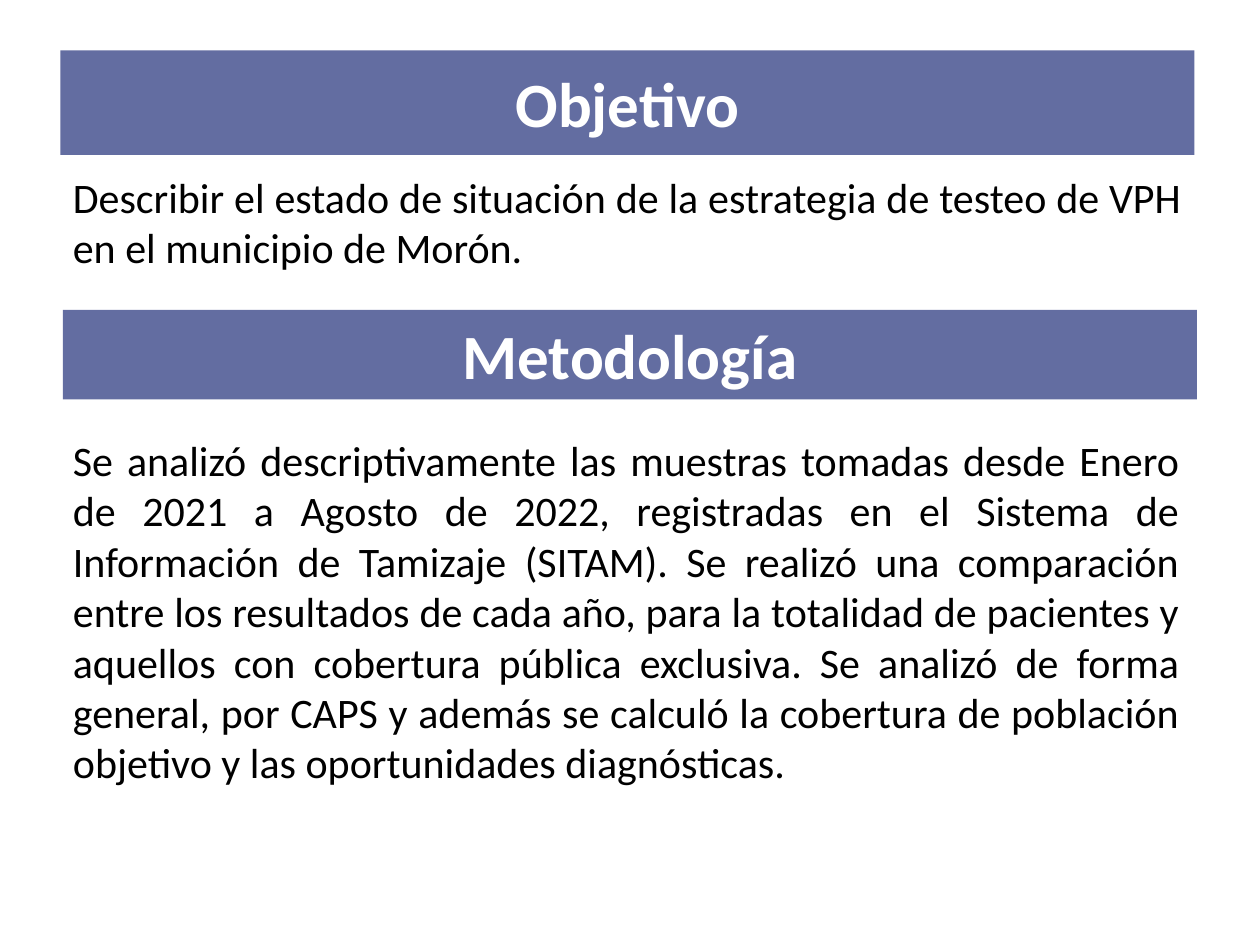
import pptx
import pptx.util
import pptx.dml.color
import pptx.enum.text
import pptx.enum.shapes

Inches = pptx.util.Inches
enum = pptx.enum.text
align = enum.PP_ALIGN
anchor = enum.MSO_ANCHOR

HEAD = {"size": 36, "bold": True, "color": "FFFFFF", "fill": "636DA1",
        "align": align.CENTER, "anchor": anchor.MIDDLE}
BODY = {"size": 24, "bold": False, "color": "000000", "fill": None,
        "align": align.JUSTIFY, "anchor": anchor.TOP}

PARTS = [
    ("title", "Objetivo", (0.48, 0.4, 9, 0.83), HEAD),
    ("text", "Describir el estado de situación de la estrategia de testeo de VPH "
     "en el municipio de Morón.", (0.48, 1.31, 9, 0.91), BODY),
    ("bar", "Metodología", (0.5, 2.46, 9, 0.71), HEAD),
    ("text", "Se analizó descriptivamente las muestras tomadas desde Enero de 2021 "
     "a Agosto de 2022, registradas en el Sistema de Información de Tamizaje "
     "(SITAM). Se realizó una comparación entre los resultados de cada año, para "
     "la totalidad de pacientes y aquellos con cobertura pública exclusiva. Se "
     "analizó de forma general, por CAPS y además se calculó la cobertura de "
     "población objetivo y las oportunidades diagnósticas.",
     (0.48, 3.4, 8.98, 2.93), BODY),
]


def paint(target, color):
    target.rgb = pptx.dml.color.RGBColor.from_string(color)


def place(slide, kind, box):
    area = [Inches(n) for n in box]
    if kind == "text":
        return slide.shapes.add_textbox(*area)
    if kind == "bar":
        shape = slide.shapes.add_shape(pptx.enum.shapes.MSO_SHAPE.RECTANGLE, *area)
        shape.shadow.inherit = False
        shape.line.fill.background()
        return shape
    shape = slide.shapes.title
    for name, size in zip(("left", "top", "width", "height"), area):
        setattr(shape, name, size)
    return shape


def write(shape, text, style):
    if style["fill"]:
        shape.fill.solid()
        paint(shape.fill.fore_color, style["fill"])
    frame = shape.text_frame
    frame.text = text
    layout = {"word_wrap": True, "auto_size": enum.MSO_AUTO_SIZE.NONE,
              "vertical_anchor": style["anchor"]}
    for name, value in layout.items():
        setattr(frame, name, value)
    line = frame.paragraphs[0]
    line.alignment = style["align"]
    font = line.runs[0].font
    look = {"name": "Calibri", "size": pptx.util.Pt(style["size"]),
            "bold": style["bold"]}
    for name, value in look.items():
        setattr(font, name, value)
    paint(font.color, style["color"])


def main():
    deck = pptx.Presentation()
    deck.slide_width, deck.slide_height = Inches(10), Inches(7.5)
    slide = deck.slides.add_slide(deck.slide_layouts[5])
    for kind, text, box, style in PARTS:
        write(place(slide, kind, box), text, style)
    deck.save("out.pptx")


if __name__ == "__main__":
    main()
